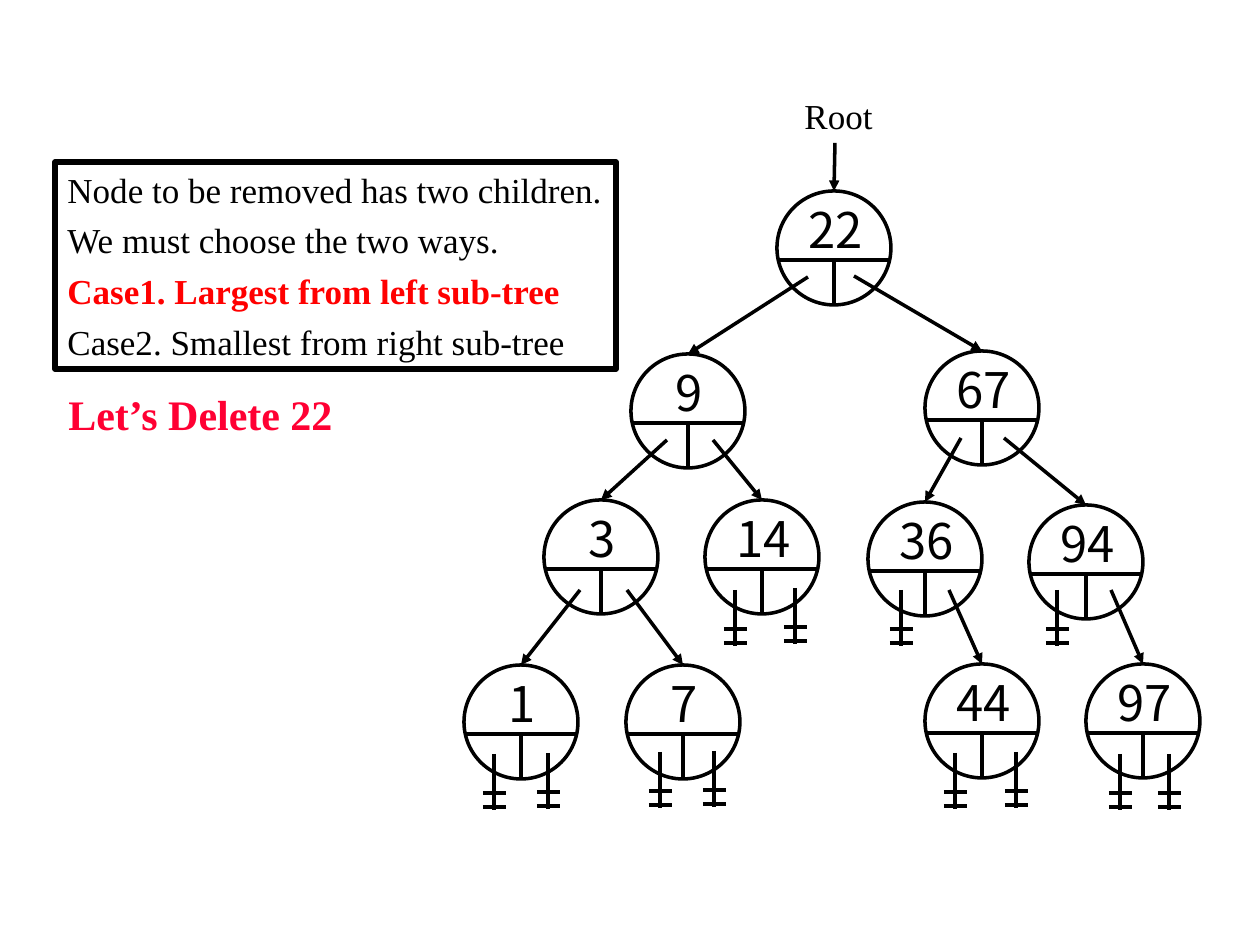
import dataclasses

import pptx
import pptx.dml.color
import pptx.enum.shapes
import pptx.enum.text
import pptx.oxml.xmlchemy
import pptx.util

SHAPE = pptx.enum.shapes.MSO_SHAPE
ALIGN = pptx.enum.text.PP_ALIGN


@dataclasses.dataclass(frozen=True)
class Theme:
    ink: str = "000000"
    chosen: str = "FF0000"
    task: str = "FF0033"
    text_font: str = "Times New Roman"
    key_font: str = "Noto Sans CJK KR"
    text_size: int = 20
    task_size: int = 24
    key_size: int = 28
    line: int = 2
    frame: int = 3


THEME = Theme()
DIAMETER = 114

RULES = [
    ("Node to be removed has two children.", False),
    ("We must choose the two ways.", False),
    ("Case1. Largest from left sub-tree", True),
    ("Case2. Smallest from right sub-tree", False),
]
# key: left, top of the node's circle
NODES = {
    22: (777, 191), 9: (631, 354), 67: (925, 351),
    3: (544, 500), 14: (705, 500), 36: (868, 502), 94: (1029, 505),
    1: (464, 665), 7: (626, 665), 44: (925, 664), 97: (1086, 664),
}
# child key: start of the pointer in its parent
POINTERS = {
    9: (808, 277), 67: (854, 276), 3: (667, 440), 14: (713, 440),
    36: (961, 438), 94: (1004, 438), 1: (580, 590), 7: (627, 590),
    44: (949, 590), 97: (1111, 590),
}
# top of the stem of each null pointer
NULLS = [
    (735, 590), (795, 588), (901, 590), (1057, 590),
    (494, 754), (548, 753), (660, 752), (714, 751),
    (955, 753), (1016, 752), (1120, 754), (1169, 754),
]


def px(n):
    return round(n * 914400 / 126)


def color(value):
    return pptx.dml.color.RGBColor.from_string(value)


def outline(shape, width):
    shape.line.color.rgb = color(THEME.ink)
    shape.line.width = pptx.util.Pt(width)


def add_line(shapes, x1, y1, x2, y2):
    s = shapes.add_connector(pptx.enum.shapes.MSO_CONNECTOR.STRAIGHT,
                             px(x1), px(y1), px(x2), px(y2))
    outline(s, THEME.line)
    s._element.spPr.append(pptx.oxml.xmlchemy.OxmlElement("a:effectLst"))
    return s


def add_arrow(shapes, x, y, target):
    """Point from (x, y) to the middle of the target's top."""
    s = add_line(shapes, x, y, x, y)
    s.end_connect(target, 0)
    tail = pptx.oxml.xmlchemy.OxmlElement("a:tailEnd")
    tail.set("type", "triangle")
    s.line._get_or_add_ln().append(tail)


def prepare_frame(s):
    tf = s.text_frame
    tf.word_wrap = False
    tf.auto_size = pptx.enum.text.MSO_AUTO_SIZE.SHAPE_TO_FIT_TEXT
    tf.vertical_anchor = pptx.enum.text.MSO_ANCHOR.TOP
    return tf


def style(p, text, font, size, ink, bold=False, align=ALIGN.LEFT):
    p.text = text
    p.alignment = align
    p.font.name = font
    p.font.size = pptx.util.Pt(size)
    p.font.color.rgb = color(ink)
    p.font.bold = bold


def add_label(shapes, box, *args, **kwargs):
    s = shapes.add_textbox(*map(px, box))
    style(prepare_frame(s).paragraphs[0], *args, **kwargs)


def add_rules(shapes, box):
    s = shapes.add_shape(SHAPE.RECTANGLE, *map(px, box))
    s.shadow.inherit = False
    s.fill.background()
    outline(s, THEME.frame)
    tf = prepare_frame(s)
    for i, (text, chosen) in enumerate(RULES):
        p = tf.add_paragraph() if i else tf.paragraphs[0]
        style(p, text, THEME.text_font, THEME.text_size,
              THEME.chosen if chosen else THEME.ink, bold=chosen)
        p.space_before = pptx.util.Pt(5)


def add_node(shapes, left, top, key):
    """Draw a key above two pointer cells; return the circle."""
    group = shapes.add_group_shape().shapes
    circle = group.add_shape(SHAPE.OVAL, px(left), px(top),
                             px(DIAMETER), px(DIAMETER))
    circle.shadow.inherit = False
    circle.fill.background()
    outline(circle, THEME.line)
    middle, bar = left + DIAMETER / 2, top + 69
    add_line(group, left, bar, left + DIAMETER, bar)
    add_line(group, middle, top + DIAMETER, middle, bar)
    add_label(group, (left + 18, top + 2, 81, 72), str(key),
              THEME.key_font, THEME.key_size, THEME.ink, align=ALIGN.CENTER)
    return circle


def add_null(shapes, x, top):
    group = shapes.add_group_shape().shapes
    add_line(group, x, top, x, top + 56)
    for drop in (39, 53):
        add_line(group, x - 11, top + drop, x + 12, top + drop)


def add_tree(shapes):
    circles = {key: add_node(shapes, *at, key) for key, at in NODES.items()}
    for child, start in POINTERS.items():
        add_arrow(shapes, *start, circles[child])
    for at in NULLS:
        add_null(shapes, *at)
    add_label(shapes, (792, 88, 93, 55), "Root",
              THEME.text_font, THEME.text_size, THEME.ink)
    add_arrow(shapes, 835, 143, circles[22])


def main():
    prs = pptx.Presentation()
    prs.slide_width, prs.slide_height = px(1260), px(945)
    shapes = prs.slides.add_slide(prs.slide_layouts[6]).shapes
    add_rules(shapes, (55, 162, 561, 207))
    add_label(shapes, (56, 382, 291, 63), "Let’s Delete 22",
              THEME.text_font, THEME.task_size, THEME.task, bold=True)
    add_tree(shapes)
    prs.save("out.pptx")


if __name__ == "__main__":
    main()
